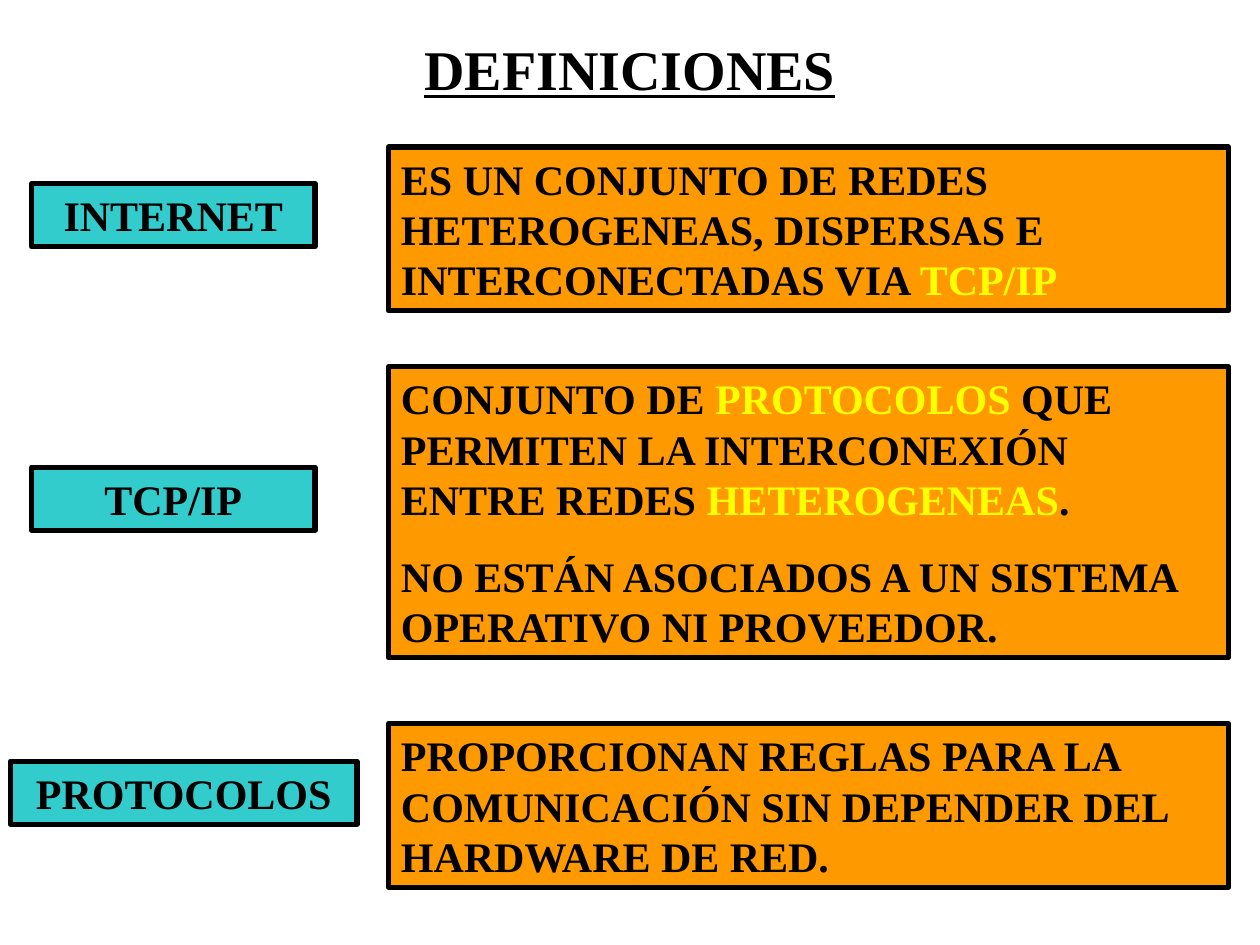
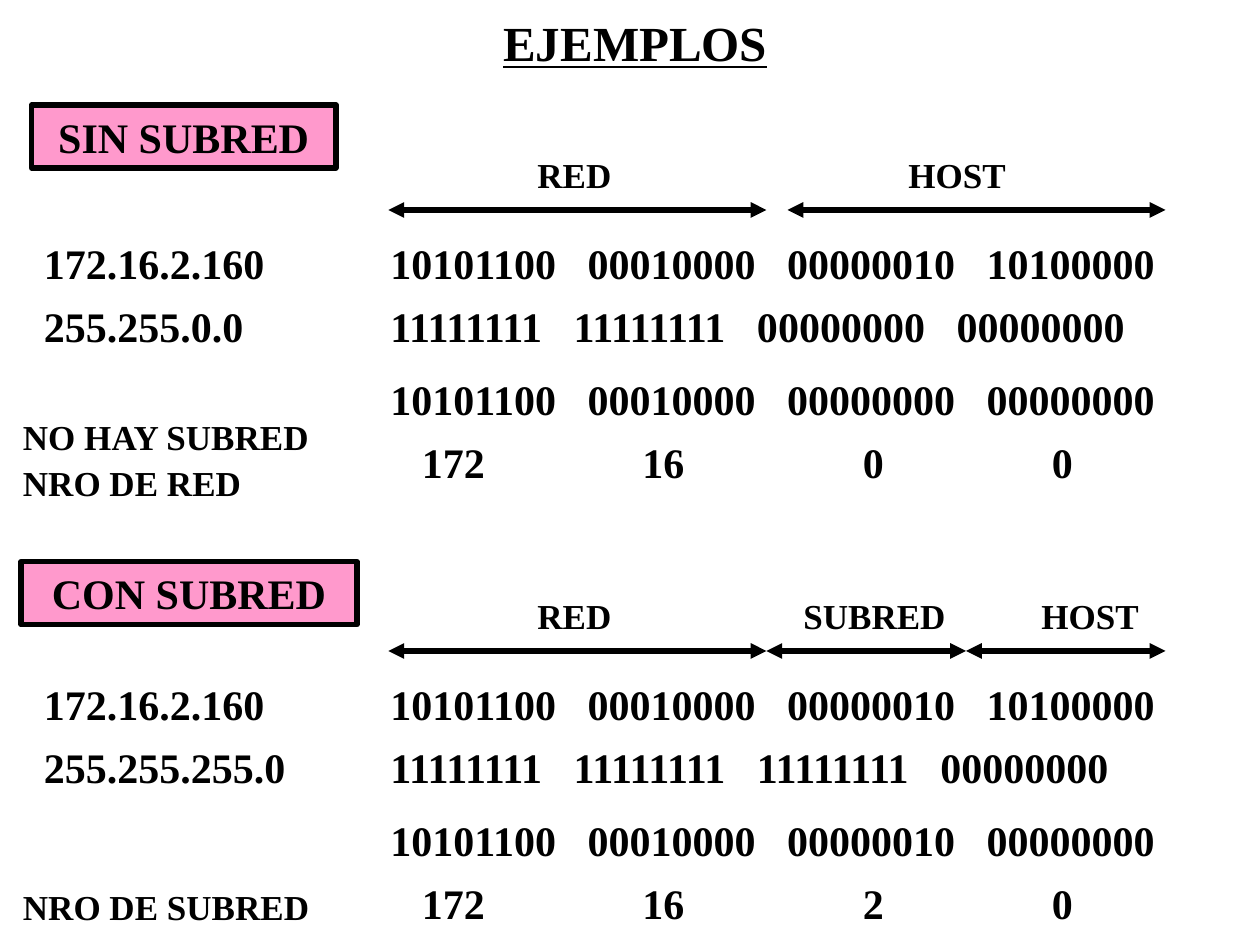
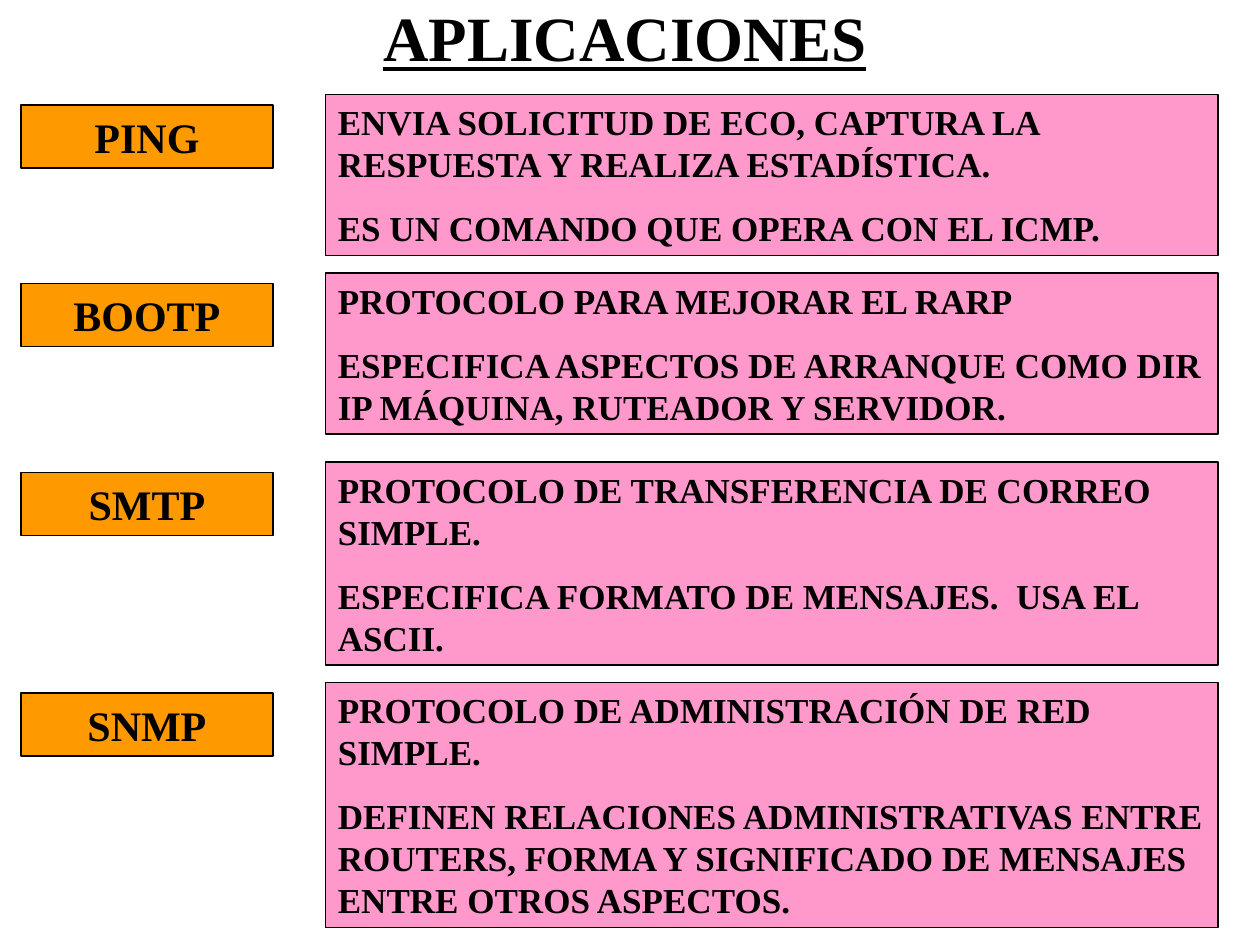
import pptx
import pptx.dml.color
import pptx.enum.dml
import pptx.enum.shapes
import pptx.enum.text
import pptx.oxml.ns
import pptx.util
from lxml import etree

Pt = pptx.util.Pt
RGBColor = pptx.dml.color.RGBColor
ALIGN = pptx.enum.text.PP_ALIGN

BLACK = RGBColor(0x00, 0x00, 0x00)
YELLOW = RGBColor(0xFF, 0xFF, 0x00)
TEAL = RGBColor(0x33, 0xCC, 0xCC)
ORANGE = RGBColor(0xFF, 0x99, 0x00)
PINK = RGBColor(0xFF, 0x99, 0xCC)
FONT = "Times New Roman"

# Digit metrics of the bold font at 24 points, used to space the octets
DIGIT_WIDTH = 12
DOUBLE_ONE_KERNING = 1.32
OCTET_GAP = 18


def add_tab_stops(paragraph, stops):
    tab_list = etree.SubElement(paragraph._p.get_or_add_pPr(), pptx.oxml.ns.qn("a:tabLst"))
    for stop in stops:
        etree.SubElement(tab_list, pptx.oxml.ns.qn("a:tab"), pos=str(Pt(stop)), algn="l")


def write_text(shape, paragraphs, size, align=ALIGN.LEFT, stops=()):
    """Fill a shape with bold text; words between asterisks turn yellow."""
    frame = shape.text_frame
    frame.word_wrap = True
    frame.vertical_anchor = pptx.enum.text.MSO_ANCHOR.TOP
    frame.auto_size = pptx.enum.text.MSO_AUTO_SIZE.SHAPE_TO_FIT_TEXT
    for index, text in enumerate(paragraphs):
        paragraph = frame.add_paragraph() if index else frame.paragraphs[0]
        paragraph.alignment = align
        if index:
            paragraph.space_before = Pt(size * 0.625)
        if stops:
            add_tab_stops(paragraph, stops)
        paragraph.font.name = FONT
        paragraph.font.size = Pt(size)
        paragraph.font.bold = True
        for part, words in enumerate(text.split("*")):
            if words:
                run = paragraph.add_run()
                run.text = words
                run.font.color.rgb = YELLOW if part % 2 else BLACK
    return frame


def add_text(slide, box, paragraphs, size=24, stops=()):
    shape = slide.shapes.add_textbox(*map(Pt, box))
    return write_text(shape, paragraphs, size, stops=stops)


def add_panel(slide, box, paragraphs, fill, line_width, size=24, align=ALIGN.LEFT):
    shape = slide.shapes.add_shape(pptx.enum.shapes.MSO_SHAPE.RECTANGLE, *map(Pt, box))
    shape.shadow.inherit = False
    shape.fill.solid()
    shape.fill.fore_color.rgb = fill
    shape.line.color.rgb = BLACK
    shape.line.width = Pt(line_width)
    write_text(shape, paragraphs, size, align)


def add_title(slide, box, text, size):
    frame = add_text(slide, box, [text], size)
    frame.auto_size = pptx.enum.text.MSO_AUTO_SIZE.NONE
    frame.vertical_anchor = pptx.enum.text.MSO_ANCHOR.MIDDLE
    frame.paragraphs[0].alignment = ALIGN.CENTER
    frame.paragraphs[0].runs[0].font.underline = True


def add_double_arrow(slide, start, end, y):
    arrow = slide.shapes.add_connector(
        pptx.enum.shapes.MSO_CONNECTOR.STRAIGHT, Pt(start), Pt(y), Pt(end), Pt(y))
    arrow.line.color.rgb = BLACK
    arrow.line.width = Pt(3)
    line = arrow.line._get_or_add_ln()
    for end_name in ("a:headEnd", "a:tailEnd"):
        etree.SubElement(line, pptx.oxml.ns.qn(end_name), type="triangle")
    etree.SubElement(arrow._element.spPr, pptx.oxml.ns.qn("a:effectLst"))


def octet_stops(octets):
    """Start of each octet after the first, allowing for kerned pairs of ones."""
    stops, position = [], 0
    for octet in octets[:-1]:
        pairs = sum(pair == ("1", "1") for pair in zip(octet, octet[1:]))
        position += len(octet) * DIGIT_WIDTH - pairs * DOUBLE_ONE_KERNING + OCTET_GAP
        stops.append(position)
    return stops


def build_definitions(slide):
    add_title(slide, (54, -6, 612, 90), "DEFINICIONES", 32)
    # Term box, then top and height of its definition
    definitions = [
        ("INTERNET", (18, 105, 162, 36), 84, 93.6,
         ["ES UN CONJUNTO DE REDES HETEROGENEAS, DISPERSAS E INTERCONECTADAS VIA *TCP/IP*"]),
        ("TCP/IP", (18, 267, 162, 36), 209.5, 166.3,
         ["CONJUNTO DE *PROTOCOLOS* QUE PERMITEN LA INTERCONEXIÓN ENTRE REDES *HETEROGENEAS*.",
          "NO ESTÁN ASOCIADOS A UN SISTEMA OPERATIVO NI PROVEEDOR."]),
        ("PROTOCOLOS", (6, 435, 198, 36), 413.5, 93.6,
         ["PROPORCIONAN REGLAS PARA LA COMUNICACIÓN SIN DEPENDER DEL HARDWARE DE RED."]),
    ]
    for term, term_box, top, height, meaning in definitions:
        add_panel(slide, term_box, [term], TEAL, 3, align=ALIGN.CENTER)
        add_panel(slide, (222, top, 480, height), meaning, ORANGE, 3)


def build_address_example(slide, top, heading, heading_box, mask, rows, decimals,
                          fields, field_stops, arrow_ends):
    left, top_of_heading, width = heading_box
    add_panel(slide, (left, top + top_of_heading, width, 36), [heading], PINK, 3,
              align=ALIGN.CENTER)
    # Field names over their arrows
    add_text(slide, (300, top, 378, 31.7), ["\t".join(fields)], 20, field_stops)
    for start, end in arrow_ends:
        add_double_arrow(slide, start, end, top + 36)
    # Address and mask
    for offset, address in ((48, "172.16.2.160"), (84, mask)):
        add_text(slide, (18, top + offset, 160, 36), [address])
    # Binary rows, then the result in decimal
    for offset, row in zip((48, 84, 126), rows):
        octets = row.split()
        add_text(slide, (216, top + offset, 462, 36), ["\t".join(octets)],
                 stops=octet_stops(octets))
    add_text(slide, (222, top + 162, 456, 36), ["\t" + "\t".join(decimals.split("."))],
             stops=(12, 138, 264, 372))


def build_examples(slide):
    add_title(slide, (228, 12, 270, 24), "EJEMPLOS", 28)
    build_address_example(
        slide, 84, "SIN SUBRED", (18, -24, 174), "255.255.0.0",
        ["10101100 00010000 00000010 10100000",
         "11111111 11111111 00000000 00000000",
         "10101100 00010000 00000000 00000000"],
        "172.16.0.0", ["RED", "HOST"], [212], [(222, 438), (450, 666)])
    notes = add_text(slide, (6, 234, 198, 56), ["NO HAY SUBRED", "NRO DE RED"], 20)
    notes.paragraphs[1].line_spacing = 0.5

    build_address_example(
        slide, 336, "CON SUBRED", (12, -15, 192), "255.255.255.0",
        ["10101100 00010000 00000010 10100000",
         "11111111 11111111 11111111 00000000",
         "10101100 00010000 00000010 00000000"],
        "172.16.2.0", ["RED", "SUBRED", "HOST"], [152, 288],
        [(222, 438), (438, 552), (552, 666)])
    add_text(slide, (6, 502.5, 198, 31.7), ["NRO DE SUBRED"], 20)


def build_applications(slide):
    add_title(slide, (180, 0, 354, 42), "APLICACIONES", 36)
    # Name, top and height of the description, description
    applications = [
        ("PING", 54, 92,
         ["ENVIA SOLICITUD DE ECO, CAPTURA LA RESPUESTA Y REALIZA ESTADÍSTICA.",
          "ES UN COMANDO QUE OPERA CON EL ICMP."]),
        ("BOOTP", 156, 92,
         ["PROTOCOLO PARA MEJORAR EL RARP",
          "ESPECIFICA ASPECTOS DE ARRANQUE COMO DIR IP MÁQUINA, RUTEADOR Y SERVIDOR."]),
        ("SMTP", 264, 116,
         ["PROTOCOLO DE TRANSFERENCIA DE CORREO SIMPLE.",
          "ESPECIFICA FORMATO DE MENSAJES.  USA EL ASCII."]),
        ("SNMP", 390, 140,
         ["PROTOCOLO DE ADMINISTRACIÓN DE RED SIMPLE.",
          "DEFINEN RELACIONES ADMINISTRATIVAS ENTRE ROUTERS, FORMA Y SIGNIFICADO DE "
          "MENSAJES ENTRE OTROS ASPECTOS."]),
    ]
    for name, top, height, description in applications:
        add_panel(slide, (12, top + 6, 144, 36), [name], ORANGE, 0.75, align=ALIGN.CENTER)
        add_panel(slide, (186, top, 510, height), description, PINK, 0.75, size=20)


def main():
    presentation = pptx.Presentation()
    presentation.slide_width = Pt(720)
    presentation.slide_height = Pt(540)
    for build in (build_definitions, build_examples, build_applications):
        build(presentation.slides.add_slide(presentation.slide_layouts[6]))
    presentation.save("out.pptx")


if __name__ == "__main__":
    main()
